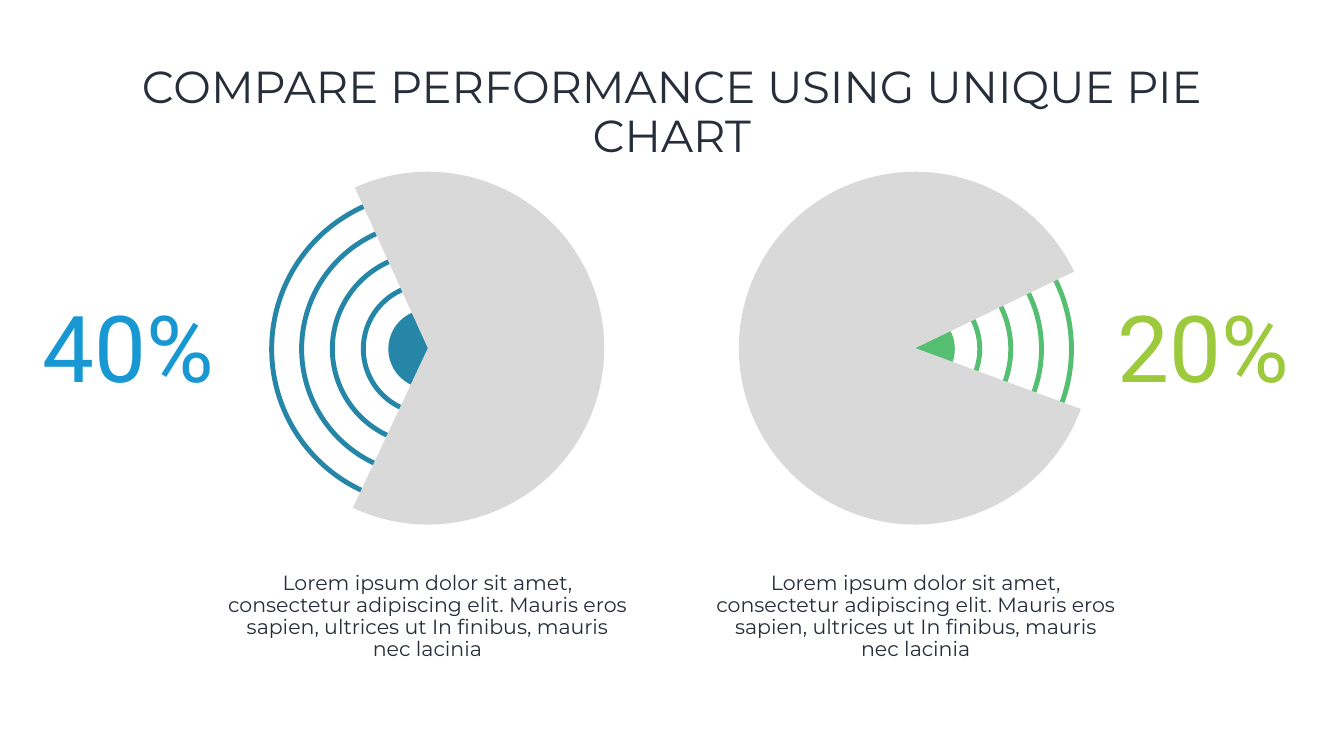
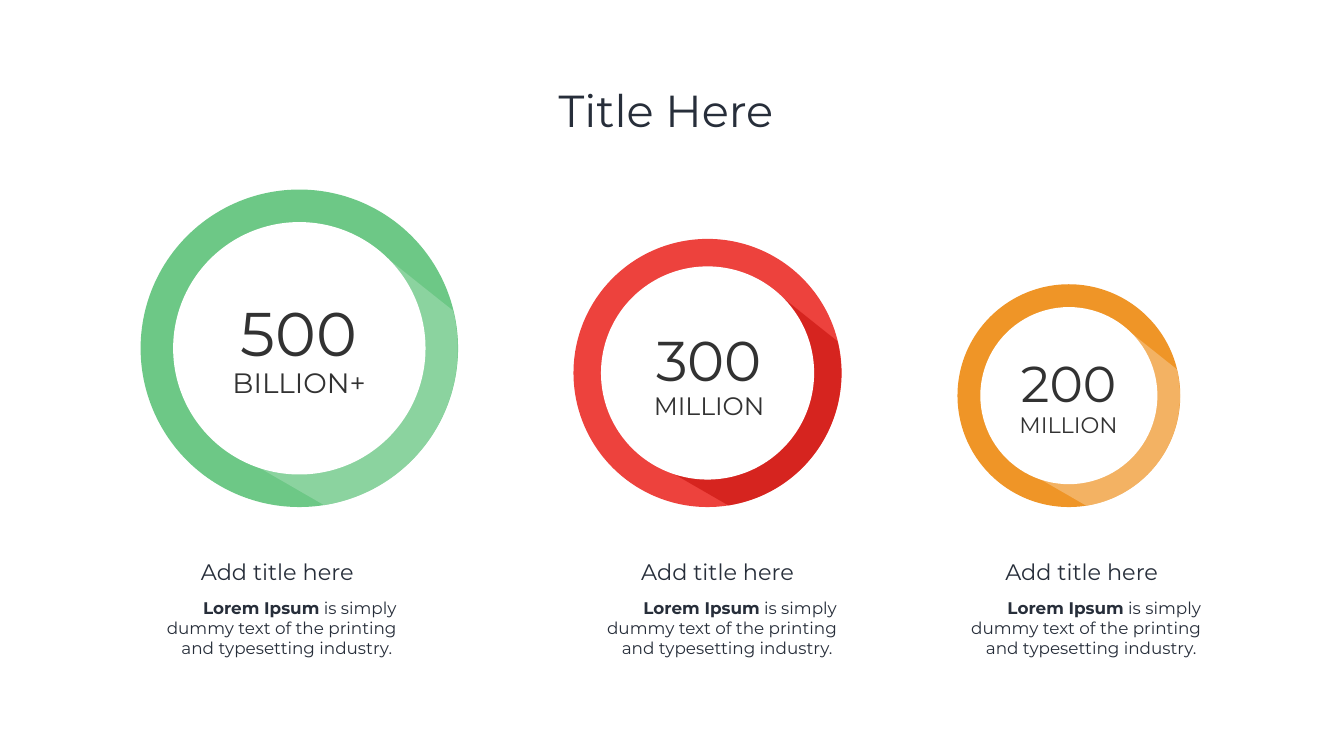
from lxml.etree import SubElement
from pptx import Presentation
from pptx.dml.color import RGBColor
from pptx.enum.shapes import MSO_SHAPE as Preset
from pptx.enum.text import MSO_ANCHOR as Anchor, MSO_AUTO_SIZE as AutoSize, PP_ALIGN as Align
from pptx.oxml.ns import qn
from pptx.util import Inches, Pt

INK = RGBColor(0x27, 0x2E, 0x3A)
CHARCOAL = RGBColor(0x32, 0x32, 0x32)
WHITE = RGBColor(0xFF, 0xFF, 0xFF)
SILVER = RGBColor(0xD9, 0xD9, 0xD9)
TEAL = RGBColor(0x26, 0x86, 0xA7)
LEAF = RGBColor(0x54, 0xBE, 0x71)
BLUE = RGBColor(0x17, 0x98, 0xD2)
LIME = RGBColor(0x9D, 0xC9, 0x3C)
MINT = RGBColor(0x6D, 0xC8, 0x86)
PALE_MINT = RGBColor(0x98, 0xD8, 0xAA)
RED = RGBColor(0xED, 0x42, 0x3D)
CRIMSON = RGBColor(0xCD, 0x18, 0x13)
ORANGE = RGBColor(0xEF, 0x95, 0x27)
PEACH = RGBColor(0xF5, 0xBF, 0x7D)

HEADLINE_FONT, NUMBER_FONT = "Montserrat", "Roboto"
SLIDE_WIDTH, SLIDE_HEIGHT = 26.67, 15
ROWS = 100

PIE_TITLE = "COMPARE PERFORMANCE USING UNIQUE PIE CHART"
PIE_NOTE = ("Lorem ipsum dolor sit amet, consectetur adipiscing elit. "
            "Mauris eros sapien, ultrices ut In finibus, mauris nec lacinia")
PIES = [
    dict(share="40%", share_left=5, share_color=BLUE, center=56.6, note_left=26.6,
         wave=TEAL, start=245.55, end=115.15),
    dict(share="20%", share_left=147.2, share_color=LIME, center=121.08, note_left=91.2,
         wave=LEAF, start=20.18, end=334.26),
]
PIE_MIDDLE, PIE_SIZE = 46.05, 46.67
WAVE_MIDDLE, CORE_SIZE = 46.15, 10.47
WAVE_SIZES = [17.07, 25.27, 33.4, 41.33]

RING_TITLE = "Title Here "
RING_HEADING = "Add title here"
RING_NOTE = [("Lorem Ipsum", True),
             (" is simply dummy text of the printing and typesetting industry. ", False)]
RINGS = [
    dict(amount="500", unit="BILLION+", amount_size=88, label=(29.33, 38.67, 20.47),
         left=18.6, size=42, note_left=20.25, color=MINT, sheen=PALE_MINT),
    dict(amount="300", unit="MILLION", amount_size=80, label=(85.07, 42.73, 17.47),
         left=75.87, size=35.47, note_left=78.5, color=RED, sheen=CRIMSON),
    dict(amount="200", unit="MILLION", amount_size=72, label=(133.47, 46.13, 15.8),
         left=126.67, size=29.47, note_left=126.67, color=ORANGE, sheen=PEACH),
]
RING_BASE, HOLE_SHARE, PERCENT = 67.07, 0.795, 100
SHEEN_START = (71.3, 16.5)
SHEEN_STEPS = [
    [(93.7, 34.4)], [(98.4, 38.1)], [(98.9, 40)],
    [(99.5, 43.2), (99.9, 46.7), (99.9, 50)],
    [(99.9, 74.3), (82.9, 94.4), (60, 99)],
    [(57.8, 99.4)], [(57.1, 99)], [(23.3, 79.5)],
]


def grid(units):
    return Inches(units * SLIDE_HEIGHT / ROWS)


def paint(shape, fill=None, line=None):
    shape.shadow.inherit = False
    if fill is None:
        shape.fill.background()
    else:
        shape.fill.solid()
        shape.fill.fore_color.rgb = fill
    if line is None:
        shape.line.fill.background()
    else:
        shape.line.color.rgb = line
        shape.line.width = Pt(7)
    return shape


def add_round(shapes, center, middle, size, preset=Preset.OVAL, rotation=0, **colors):
    circle = shapes.add_shape(preset, grid(center - size / 2), grid(middle - size / 2),
                              grid(size), grid(size))
    circle.rotation = rotation
    return paint(circle, **colors)


def add_text(slide, box, paragraphs, color=INK, font=HEADLINE_FONT, align=Align.LEFT,
             spacing=None, anchor=Anchor.TOP, wrap=True, grow=True,
             insets=(0.67, 0.33, 0.67, 0.33)):
    frame = slide.shapes.add_textbox(*map(grid, box)).text_frame
    frame.word_wrap = wrap
    frame.auto_size = AutoSize.SHAPE_TO_FIT_TEXT if grow else AutoSize.NONE
    frame.vertical_anchor = anchor
    (frame.margin_left, frame.margin_top,
     frame.margin_right, frame.margin_bottom) = map(grid, insets)
    for index, (size, runs) in enumerate(paragraphs):
        paragraph = frame.add_paragraph() if index else frame.paragraphs[0]
        paragraph.alignment = align
        if spacing:
            paragraph.line_spacing = spacing
        for words, bold in runs:
            run = paragraph.add_run()
            run.text = words
            run.font.name = font
            run.font.size = Pt(size)
            run.font.bold = bold
            run.font.color.rgb = color


def add_title(slide, title):
    add_text(slide, (12.2, 5.33, 153.33, 19.33), [(64, [(title, False)])],
             align=Align.CENTER, spacing=0.9, anchor=Anchor.MIDDLE, grow=False)


def add_pie(slide, pie):
    center, wave = pie["center"], pie["wave"]
    add_round(slide.shapes, center, WAVE_MIDDLE, CORE_SIZE, rotation=90, fill=wave)
    waves = slide.shapes.add_group_shape().shapes
    for size in WAVE_SIZES:
        add_round(waves, center, WAVE_MIDDLE, size, rotation=90, line=wave)
    rest = add_round(slide.shapes, center, PIE_MIDDLE, PIE_SIZE, Preset.PIE, 90, fill=SILVER)
    for index, angle in enumerate((pie["start"], pie["end"])):
        rest.adjustments[index] = (angle - 90) % 360 * 0.6
    add_text(slide, (pie["share_left"], 38.07, 24.13, 15.47),
             [(132, [(pie["share"], False)])], pie["share_color"], NUMBER_FONT, wrap=False)
    add_text(slide, (pie["note_left"], 75.5, 59.87, 13.47), [(29.3, [(PIE_NOTE, False)])],
             align=Align.CENTER, spacing=0.89, insets=(3.53, 0.33, 3.53, 1.4))


def bend(shape, steps):
    lines = list(shape._element.iter(qn("a:lnTo")))
    for step in steps:
        corners, lines = lines[:len(step)], lines[len(step):]
        if len(step) == 3:
            curve = corners[0]
            curve.tag = qn("a:cubicBezTo")
            for corner in corners[1:]:
                curve.append(corner[0])
                corner.getparent().remove(corner)


def add_sheen(slide, left, top, size, color):
    start, *corners = [(grid(left + x * size / PERCENT), grid(top + y * size / PERCENT))
                       for x, y in [SHEEN_START, *sum(SHEEN_STEPS, [])]]
    outline = slide.shapes.build_freeform(*start)
    outline.add_line_segments(corners, close=True)
    sheen = paint(outline.convert_to_shape(), fill=color)
    bend(sheen, SHEEN_STEPS)
    tint = sheen.fill._xPr.find(qn("a:solidFill"))[0]
    SubElement(tint, qn("a:alpha"), val="70000")


def add_ring(slide, ring):
    left, size, amount_size = ring["left"], ring["size"], ring["amount_size"]
    center, middle = left + size / 2, RING_BASE - size / 2
    add_round(slide.shapes, center, middle, size, fill=ring["color"])
    add_sheen(slide, left, RING_BASE - size, size, ring["sheen"])
    add_round(slide.shapes, center, middle, size * HOLE_SHARE, fill=WHITE)
    add_text(slide, (*ring["label"], 2.4 + 0.15 * amount_size),
             [(amount_size, [(ring["amount"], False)]),
              (amount_size / 2 - 4, [(ring["unit"], False)])],
             CHARCOAL, align=Align.CENTER, spacing=0.9, anchor=Anchor.MIDDLE,
             wrap=False, insets=(1.33,) * 4)


def add_ring_note(slide, ring):
    left = ring["note_left"]
    add_text(slide, (left + 5.5, 73.47, 21.87, 4.27), [(32, [(RING_HEADING, False)])],
             align=Align.CENTER, wrap=False)
    add_text(slide, (left, 78.73, 32.87, 8.73), [(24, RING_NOTE)], align=Align.RIGHT)


def main():
    deck = Presentation()
    deck.slide_width, deck.slide_height = Inches(SLIDE_WIDTH), Inches(SLIDE_HEIGHT)
    pages = [(PIE_TITLE, PIES, [add_pie]), (RING_TITLE, RINGS, [add_ring, add_ring_note])]
    for title, parts, steps in pages:
        slide = deck.slides.add_slide(deck.slide_layouts[6])
        add_title(slide, title)
        for add_part in steps:
            for part in parts:
                add_part(slide, part)
    deck.save("out.pptx")


if __name__ == "__main__":
    main()
